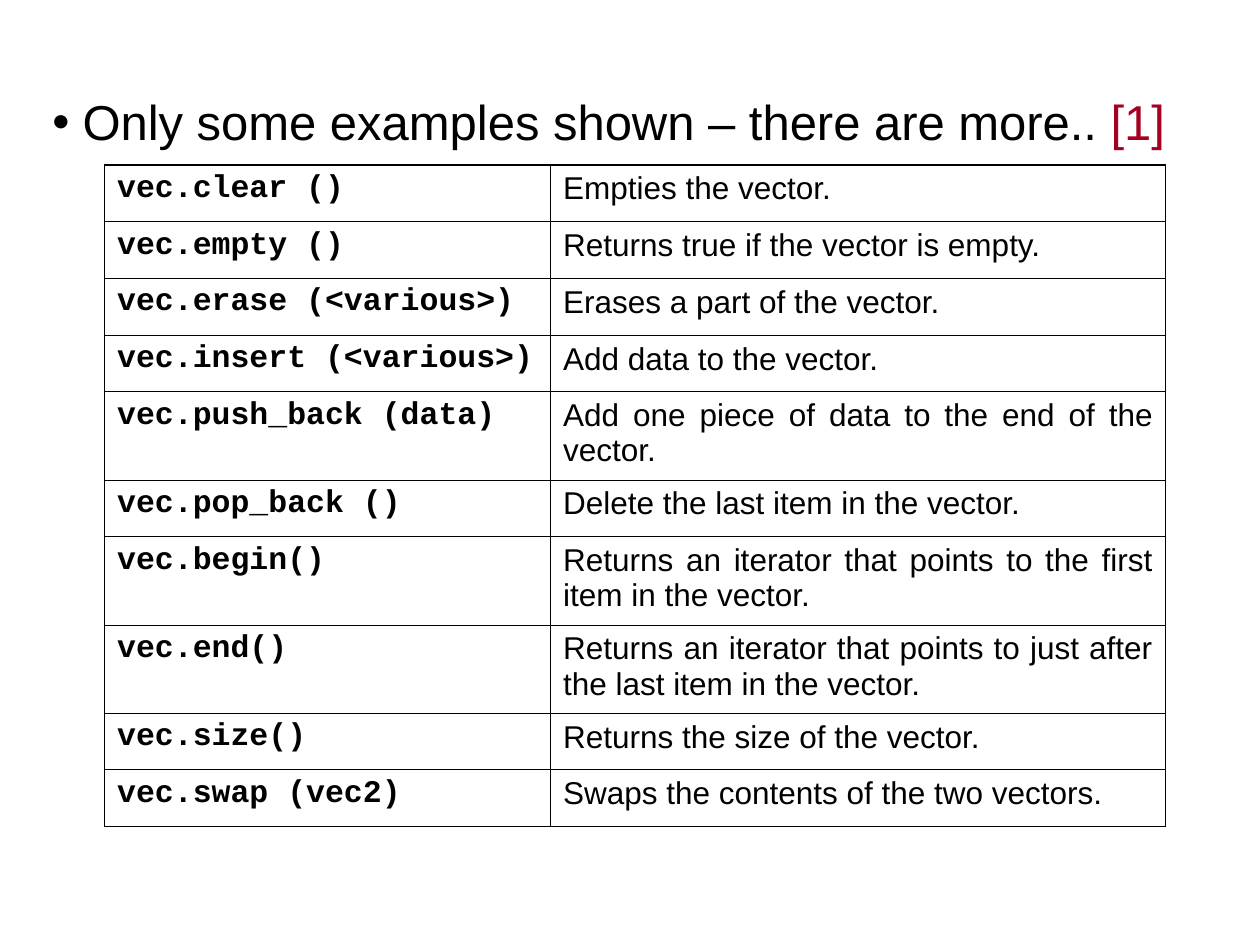
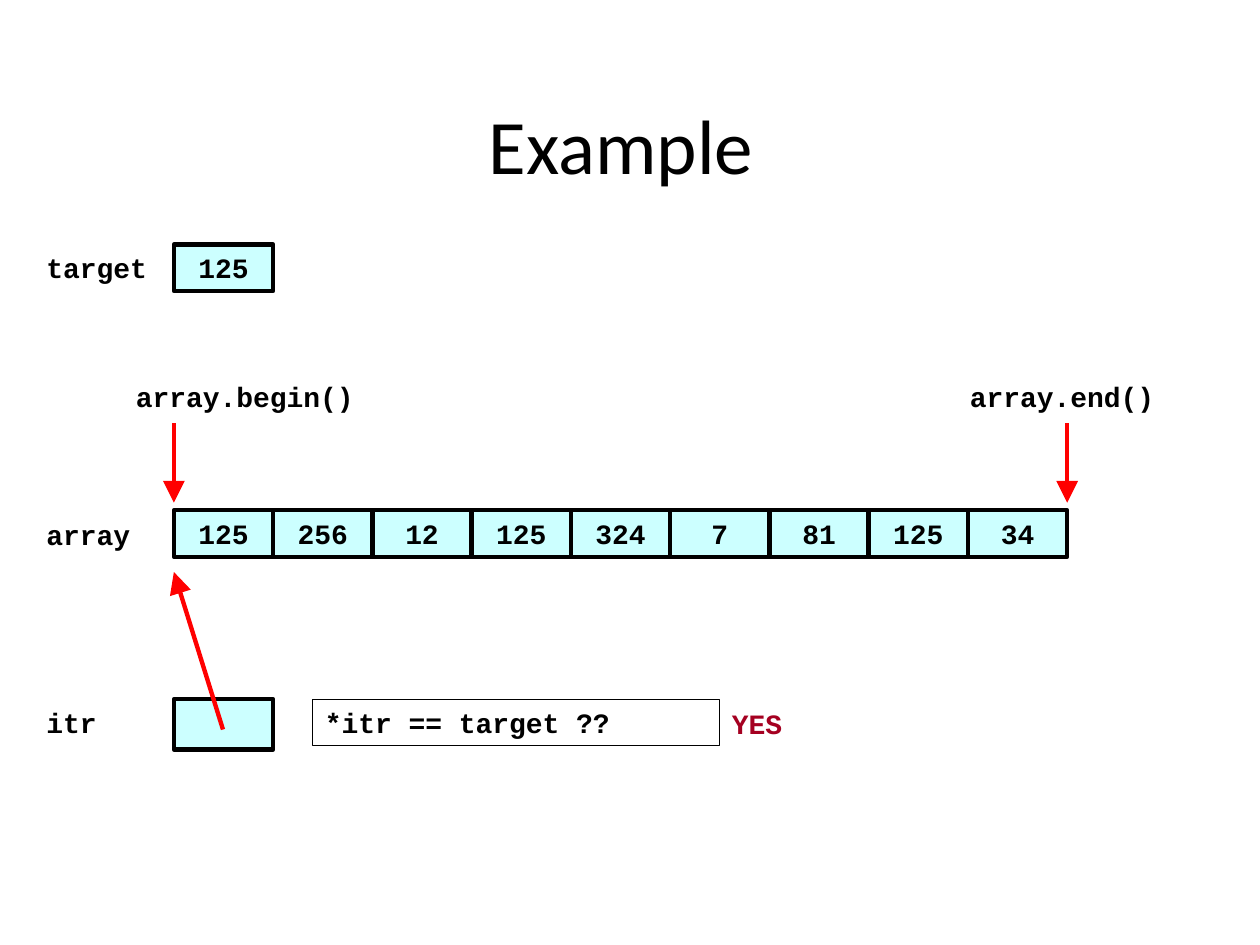
from dataclasses import dataclass

from lxml import etree
from pptx import Presentation
from pptx.dml.color import RGBColor
from pptx.enum.shapes import MSO_CONNECTOR, MSO_SHAPE
from pptx.enum.text import MSO_ANCHOR, PP_ALIGN
from pptx.oxml.ns import qn
from pptx.util import Inches, Pt

LEFT, CENTER, JUSTIFY = PP_ALIGN.LEFT, PP_ALIGN.CENTER, PP_ALIGN.JUSTIFY
TOP = MSO_ANCHOR.TOP
RECT = MSO_SHAPE.RECTANGLE
STRAIGHT = MSO_CONNECTOR.STRAIGHT


@dataclass(frozen=True)
class Theme:
    ink: str = "000000"
    accent: str = "A50021"
    arrow: str = "FF0000"
    cell: str = "CCFFFF"
    sans: str = "Arial"
    mono: str = "Courier New"
    heading: str = "Calibri"
    title_size: float = 44
    bullet_size: float = 28
    table_size: float = 18
    code_size: float = 16
    heavy: float = 2.5
    thin: float = 0.75
    table_outer: float = 1.08
    table_inner: float = 0.45


THEME = Theme()


@dataclass(frozen=True)
class Style:
    font: str
    size: float
    bold: bool = False
    color: str = THEME.ink


CODE = Style(THEME.mono, THEME.code_size, True)
ANSWER = Style(THEME.mono, THEME.code_size, True, THEME.accent)
TITLE = Style(THEME.heading, THEME.title_size)
BULLET = Style(THEME.sans, THEME.bullet_size)
CITATION = Style(THEME.sans, THEME.bullet_size, False, THEME.accent)
METHOD = Style(THEME.mono, THEME.table_size, True)
MEANING = Style(THEME.sans, THEME.table_size)


@dataclass(frozen=True)
class Label:
    text: str
    left: float
    top: float
    width: float
    style: Style = CODE


@dataclass(frozen=True)
class Box:
    left: float
    top: float
    width: float
    height: float
    text: str = ""
    fill: str = THEME.cell
    line_width: float = THEME.heavy
    align: PP_ALIGN = CENTER


@dataclass(frozen=True)
class Arrow:
    x1: float
    y1: float
    x2: float
    y2: float


@dataclass(frozen=True)
class Method:
    call: str
    meaning: str
    height: float = 0.45


ROW_HEIGHT = 0.37
ARRAY_LEFT, ARRAY_RIGHT, ARRAY_TOP = 1.38, 8.47, 4.05
TARGET_TOP, ITR_TOP, ENDS_TOP = 1.94, 5.55, 2.96
VALUES = ("125", "256", "12", "125", "324", "7", "81", "125", "34")
CELL_WIDTH = (ARRAY_RIGHT - ARRAY_LEFT) / len(VALUES)

METHODS = (
    Method("vec.clear ()", "Empties the vector."),
    Method("vec.empty ()", "Returns true if the vector is empty."),
    Method("vec.erase (<various>)", "Erases a part of the vector."),
    Method("vec.insert (<various>)", "Add data to the vector."),
    Method("vec.push_back (data)", "Add one piece of data to the end of the vector.", 0.7),
    Method("vec.pop_back ()", "Delete the last item in the vector."),
    Method("vec.begin()", "Returns an iterator that points to the first item in the vector.", 0.7),
    Method("vec.end()", "Returns an iterator that points to just after the last item in the vector.", 0.7),
    Method("vec.size()", "Returns the size of the vector."),
    Method("vec.swap (vec2)", "Swaps the contents of the two vectors."),
)
COLUMN_WIDTHS = (3.54, 4.88)

BOXES = (
    *(Box(ARRAY_LEFT + i * CELL_WIDTH, ARRAY_TOP, CELL_WIDTH, ROW_HEIGHT, value)
      for i, value in enumerate(VALUES)),
    Box(ARRAY_LEFT, TARGET_TOP, CELL_WIDTH, ROW_HEIGHT, "125"),
    Box(ARRAY_LEFT, ITR_TOP, CELL_WIDTH, 0.4),
    Box(2.48, ITR_TOP, 3.23, ROW_HEIGHT, "*itr == target ??", "", THEME.thin, LEFT),
)
LABELS = (
    Label("target", 0.27, TARGET_TOP, 1.02),
    Label("array", 0.27, 4.06, 1.1),
    Label("itr", 0.27, ITR_TOP, 1.02),
    Label("array.begin()", 0.98, ENDS_TOP, 2.36),
    Label("array.end()", 7.6, ENDS_TOP, 1.73),
    Label("YES", 5.71, 5.56, 1.02, ANSWER),
)
ARROWS = (
    Arrow(ARRAY_LEFT, 3.36, ARRAY_LEFT, 3.99),
    Arrow(ARRAY_RIGHT, 3.36, ARRAY_RIGHT, 3.99),
    Arrow(1.77, 5.79, ARRAY_LEFT, 4.54),
)


def rgb(color: str) -> RGBColor:
    return RGBColor.from_string(color)


def add_run(p, text: str, style: Style) -> None:
    r = p.add_run()
    r.text = text
    r.font.name = style.font
    r.font.size = Pt(style.size)
    r.font.bold = style.bold
    r.font.color.rgb = rgb(style.color)


def start_text(tf, align: PP_ALIGN, wrap: bool = True, before: float = 0):
    tf.word_wrap = wrap
    tf.vertical_anchor = TOP
    p = tf.paragraphs[0]
    p.alignment = align
    p.space_before = Pt(before)
    return p


def add_text_box(s, left: float, top: float, width: float, height: float):
    return s.shapes.add_textbox(Inches(left), Inches(top), Inches(width), Inches(height))


def add_label(s, label: Label) -> None:
    sp = add_text_box(s, label.left, label.top, label.width, ROW_HEIGHT)
    add_run(start_text(sp.text_frame, LEFT, before=10), label.text, label.style)


def add_box(s, box: Box) -> None:
    sp = s.shapes.add_shape(RECT, Inches(box.left), Inches(box.top),
                            Inches(box.width), Inches(box.height))
    sp.shadow.inherit = False
    if box.fill:
        sp.fill.solid()
        sp.fill.fore_color.rgb = rgb(box.fill)
    else:
        sp.fill.background()
    sp.line.color.rgb = rgb(THEME.ink)
    sp.line.width = Pt(box.line_width)
    if box.text:
        add_run(start_text(sp.text_frame, box.align, before=10), box.text, CODE)


def add_arrow(s, arrow: Arrow) -> None:
    cx = s.shapes.add_connector(STRAIGHT, Inches(arrow.x1), Inches(arrow.y1),
                                Inches(arrow.x2), Inches(arrow.y2))
    cx.line.color.rgb = rgb(THEME.arrow)
    cx.line.width = Pt(THEME.heavy)
    etree.SubElement(cx.line._get_or_add_ln(), qn("a:tailEnd"),
                     type="triangle", w="lg", len="lg")
    etree.SubElement(cx._element.spPr, qn("a:effectLst"))


def set_borders(cell, outer_sides: dict[str, bool]) -> None:
    tcPr = cell._tc.get_or_add_tcPr()
    for i, (side, outer) in enumerate(outer_sides.items()):
        width = THEME.table_outer if outer else THEME.table_inner
        ln = etree.Element(qn(f"a:ln{side}"), w=str(Pt(width)))
        fill = etree.SubElement(ln, qn("a:solidFill"))
        etree.SubElement(fill, qn("a:srgbClr"), val=THEME.ink)
        tcPr.insert(i, ln)


def add_method_table(s) -> None:
    frame = s.shapes.add_table(len(METHODS), len(COLUMN_WIDTHS), Inches(0.83), Inches(1.31),
                               Inches(sum(COLUMN_WIDTHS)),
                               Inches(sum(m.height for m in METHODS)))
    table = frame.table
    table.first_row = table.horz_banding = False
    for column, width in zip(table.columns, COLUMN_WIDTHS):
        column.width = Inches(width)
    last_row, last_col = len(METHODS) - 1, len(COLUMN_WIDTHS) - 1
    for i, method in enumerate(METHODS):
        table.rows[i].height = Inches(method.height)
        for j, (text, style) in enumerate(((method.call, METHOD), (method.meaning, MEANING))):
            cell = table.cell(i, j)
            cell.fill.background()
            p = cell.text_frame.paragraphs[0]
            p.alignment = JUSTIFY
            p.space_before, p.space_after = Pt(4.5), Pt(2.2)
            add_run(p, text, style)
            set_borders(cell, {"L": j == 0, "R": j == last_col,
                               "T": i == 0, "B": i == last_row})


def add_bullet_line(s) -> None:
    sp = add_text_box(s, 0.14, 0.68, 9.38, 0.57)
    p = start_text(sp.text_frame, CENTER, wrap=False, before=7)
    pPr = p._p.get_or_add_pPr()
    indent = Inches(0.24)
    pPr.set("marL", str(indent))
    pPr.set("indent", str(-indent))
    color = etree.SubElement(pPr, qn("a:buClr"))
    etree.SubElement(color, qn("a:srgbClr"), val=THEME.ink)
    etree.SubElement(pPr, qn("a:buFont"), typeface=THEME.sans)
    etree.SubElement(pPr, qn("a:buChar"), char="•")
    add_run(p, "Only some examples shown – there are more.. ", BULLET)
    add_run(p, "[1]", CITATION)


def add_title(s, text: str) -> None:
    sp = add_text_box(s, 0.43, 0.68, 9, 1.25)
    sp.text_frame.margin_top = Inches(0.09)
    add_run(start_text(sp.text_frame, CENTER), text, TITLE)


def build_methods_slide(s) -> None:
    add_method_table(s)
    add_bullet_line(s)


def build_example_slide(s) -> None:
    add_title(s, "Example")
    for box in BOXES:
        add_box(s, box)
    for label in LABELS:
        add_label(s, label)
    for arrow in ARROWS:
        add_arrow(s, arrow)


def main() -> None:
    prs = Presentation()
    prs.slide_width, prs.slide_height = Inches(10), Inches(7.5)
    for build in (build_methods_slide, build_example_slide):
        build(prs.slides.add_slide(prs.slide_layouts[6]))
    prs.save("out.pptx")


if __name__ == "__main__":
    main()
